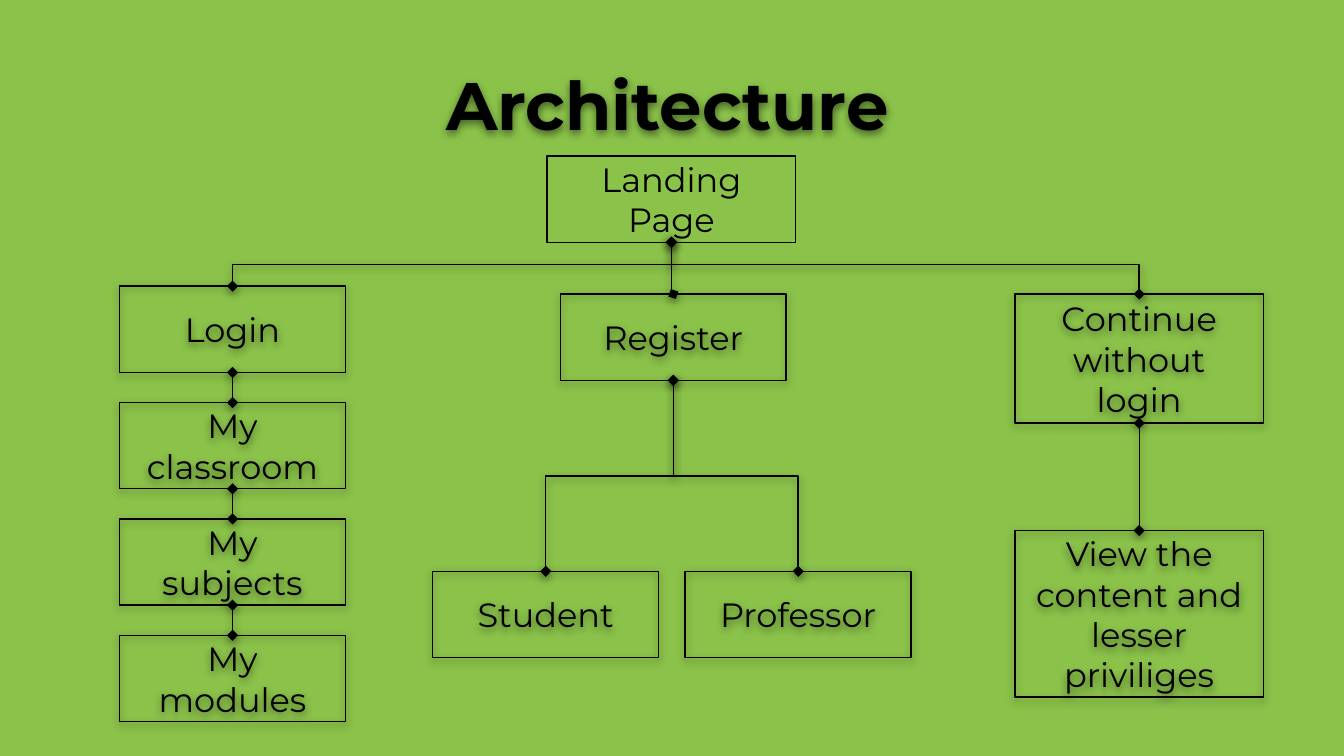
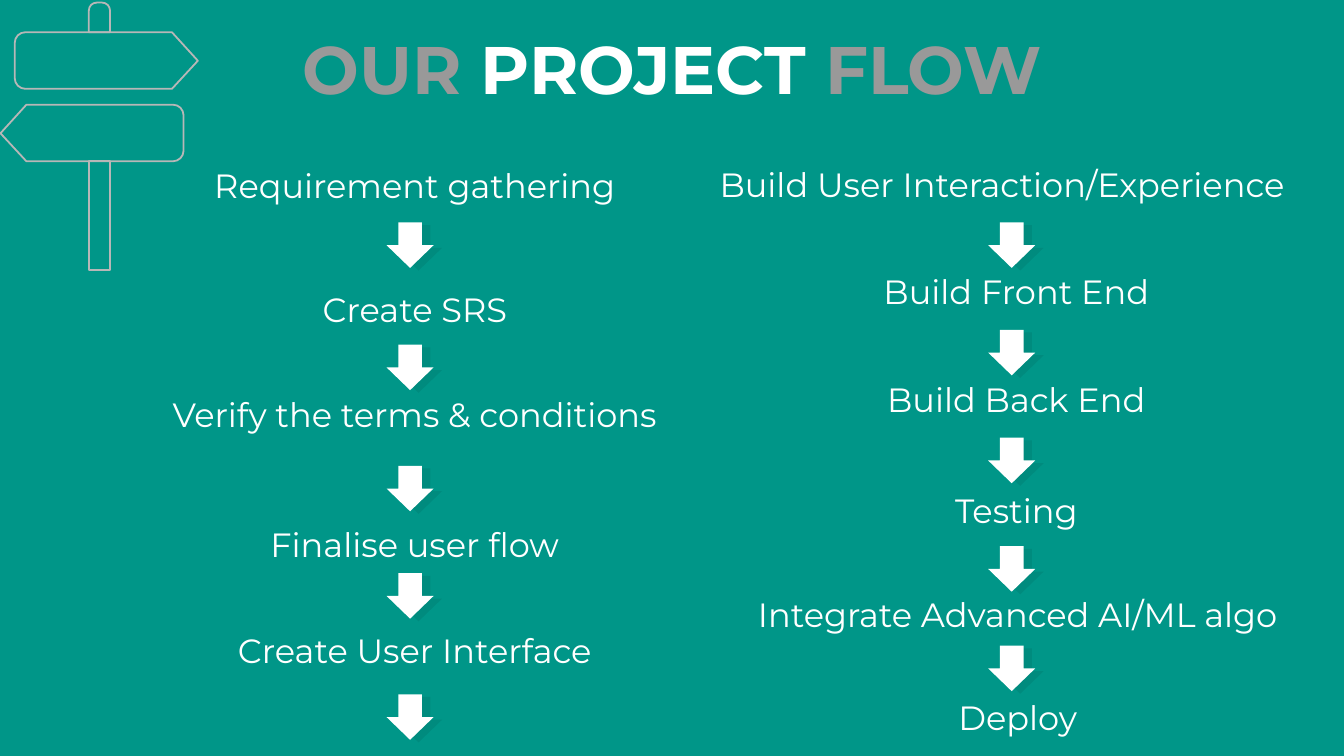
"""Build two slides: a site architecture tree and a project flow."""
from math import cos, pi, sin

from lxml.etree import SubElement
from pptx import Presentation
from pptx.dml.color import RGBColor
from pptx.enum.shapes import MSO_CONNECTOR, MSO_SHAPE
from pptx.enum.text import MSO_ANCHOR, MSO_AUTO_SIZE, PP_ALIGN
from pptx.oxml import parse_xml
from pptx.oxml.ns import nsdecls, qn
from pptx.util import Cm, Pt

rgb = RGBColor.from_string
FONT = "Montserrat"
BLACK, WHITE, GREY, PALE_GREY = "000000", "FFFFFF", "999999", "B7B7B7"
GREEN, TEAL = "8BC34A", "009688"


def write(shape, text, color, size=18, bold=False, align=PP_ALIGN.CENTER, anchor=MSO_ANCHOR.MIDDLE):
    """Fill a shape with one styled paragraph."""
    frame = shape.text_frame
    frame.text = text
    frame.word_wrap = True
    frame.auto_size = MSO_AUTO_SIZE.NONE
    frame.vertical_anchor = anchor
    frame.margin_left = frame.margin_right = frame.margin_top = frame.margin_bottom = Cm(0.25)
    paragraph = frame.paragraphs[0]
    paragraph.alignment = align
    for run in paragraph.runs:
        run.font.name = FONT
        run.font.size = Pt(size)
        run.font.bold = bold
        run.font.color.rgb = rgb(color)


def cast_shadow(shape):
    """Add a soft shadow that falls downwards."""
    shape._element.spPr.append(parse_xml(
        f'<a:effectLst {nsdecls("a")}><a:outerShdw blurRad="57150" dist="19050" dir="5400000" '
        f'algn="bl" rotWithShape="0"><a:srgbClr val="{BLACK}"><a:alpha val="50000"/></a:srgbClr>'
        '</a:outerShdw></a:effectLst>'))


presentation = Presentation()
presentation.slide_width, presentation.slide_height = Cm(25.4), Cm(14.29)

slides = []
for background, title_text, title_color, title_box, title_align in [
    (GREEN, "Architecture", BLACK, (8.18, 0.66, 9.12, 2.31), PP_ALIGN.LEFT),
    (TEAL, "OUR ", GREY, (4.57, 0.56, 16.26, 1.73), PP_ALIGN.CENTER),
]:
    slide = presentation.slides.add_slide(presentation.slide_layouts[5])
    slide.background.fill.solid()
    slide.background.fill.fore_color.rgb = rgb(background)
    title = slide.shapes.title
    title.left, title.top, title.width, title.height = map(Cm, title_box)
    write(title, title_text, title_color, 36, True, title_align, MSO_ANCHOR.BOTTOM)
    slides.append(slide)
architecture, flow = slides

cast_shadow(architecture.shapes.title)
boxes = {}
login_steps = ["Login", "My classroom", "My subjects", "My modules"]
for label, left, top, width, height in [
    ("Landing Page", 10.34, 2.95, 4.7, 1.63),
    *((label, 2.26, 5.41 + 2.2 * row, 4.27, 1.63) for row, label in enumerate(login_steps)),
    ("Register", 10.59, 5.56, 4.27, 1.63),
    ("Student", 8.18, 10.8, 4.27, 1.63),
    ("Professor", 12.95, 10.8, 4.27, 1.63),
    ("Continue without login", 19.18, 5.56, 4.7, 2.44),
    ("View the content and lesser priviliges", 19.18, 10.03, 4.7, 3.15),
]:
    box = architecture.shapes.add_shape(MSO_SHAPE.RECTANGLE, Cm(left), Cm(top), Cm(width), Cm(height))
    box.fill.background()
    box.line.color.rgb = rgb(BLACK)
    box.line.width = Pt(0.75)
    write(box, label, BLACK)
    if label == "Landing Page":
        box.shadow.inherit = False
    else:
        cast_shadow(box)
    boxes[label] = box

for parent_label, child_label, bend in [
    ("Landing Page", "Login", 50000),
    ("Landing Page", "Register", 94900),
    ("Landing Page", "Continue without login", 43300),
    *((upper, lower, 50000) for upper, lower in zip(login_steps, login_steps[1:])),
    ("Register", "Student", 50000),
    ("Register", "Professor", 50000),
    ("Continue without login", "View the content and lesser priviliges", 50000),
]:
    parent, child = boxes[parent_label], boxes[child_label]
    start_x, start_y = parent.left + parent.width // 2, parent.top + parent.height
    end_x, end_y = child.left + child.width // 2, child.top
    middle_x, middle_y = (start_x + end_x) // 2, (start_y + end_y) // 2
    half_drop = (end_y - start_y) // 2
    connector = architecture.shapes.add_connector(
        MSO_CONNECTOR.ELBOW,
        middle_x - half_drop, middle_y + middle_x - start_x,
        middle_x + half_drop, middle_y + middle_x - end_x)
    connector.rotation = 90
    connector.line.color.rgb = rgb(BLACK)
    connector.line.width = Pt(0.75)
    properties = connector._element.spPr
    guides = properties.find(qn("a:prstGeom")).find(qn("a:avLst"))
    SubElement(guides, qn("a:gd"), name="adj1", fmla=f"val {bend}")
    for end in ("a:headEnd", "a:tailEnd"):
        SubElement(properties.find(qn("a:ln")), qn(end), type="diamond")
    cast_shadow(connector)

title_paragraph = flow.shapes.title.text_frame.paragraphs[0]
for text, color in [("PROJECT", WHITE), (" FLOW", GREY)]:
    run = title_paragraph.add_run()
    run.text = text
    run.font.name = FONT
    run.font.size = Pt(36)
    run.font.bold = True
    run.font.color.rgb = rgb(color)

quarter = [(sin(step * pi / 8), cos(step * pi / 8)) for step in range(5)]
upper_board = [
    (3.25, 0.61),
    *((0.48 - 0.2 * s, 0.81 - 0.2 * c) for s, c in quarter),
    *((0.48 - 0.2 * c, 1.48 + 0.2 * s) for s, c in quarter),
    (3.25, 1.68), (3.74, 1.15),
]
lower_board = [(3.75 - x, y + 1.37) for x, y in upper_board]
post_cap = [
    (2.08, 0.61),
    *((1.93 + 0.15 * c, 0.2 - 0.15 * s) for s, c in quarter),
    *((1.83 - 0.15 * s, 0.2 - 0.15 * c) for s, c in quarter),
    (1.68, 0.61),
]
post = [(1.68, 3.05), (1.68, 5.11), (2.08, 5.11), (2.08, 3.05)]
signpost = flow.shapes.add_group_shape()
for outline in (upper_board, lower_board, post_cap, post):
    points = [(Cm(x), Cm(y)) for x, y in outline]
    builder = signpost.shapes.build_freeform(*points[0])
    builder.add_line_segments(points[1:], close=True)
    part = builder.convert_to_shape()
    part.fill.background()
    part.line.color.rgb = rgb(PALE_GREY)
    part.line.width = Pt(0.96)
    part.shadow.inherit = False

for text, left, top, width in [
    ("Requirement gathering", 2.57, 2.87, 10.54),
    ("Create SRS", 2.57, 5.21, 10.54),
    ("Verify the terms & conditions", 2.57, 7.19, 10.54),
    ("Finalise user flow", 2.57, 9.65, 10.54),
    ("Create User Interface", 2.57, 11.66, 10.54),
    ("Build User Interaction/Experience", 12.83, 2.84, 12.22),
    ("Build Front End", 13.94, 4.88, 10.54),
    ("Build Back End", 13.94, 6.91, 10.54),
    ("Testing", 13.94, 9.02, 10.54),
    ("Integrate Advanced AI/ML algo", 13.67, 10.97, 11.13),
    ("Deploy", 13.67, 12.93, 11.13),
]:
    step_box = flow.shapes.add_textbox(Cm(left), Cm(top), Cm(width), Cm(1.27))
    write(step_box, text, WHITE, anchor=MSO_ANCHOR.TOP)

for left, tops in [
    (7.32, (4.19, 6.5, 8.79, 10.82, 13.11)),
    (18.69, (4.19, 6.22, 8.26, 10.31, 12.19)),
]:
    for top in tops:
        arrow_pair = flow.shapes.add_group_shape()
        for color, shift_x, shift_y in [(BLACK, 0.16, 0.05), (WHITE, 0, 0)]:
            arrow = arrow_pair.shapes.add_shape(
                MSO_SHAPE.RIGHT_ARROW, Cm(left + shift_x), Cm(top + shift_y), Cm(0.86), Cm(0.89))
            arrow.rotation = 90
            arrow.fill.solid()
            arrow.fill.fore_color.rgb = rgb(color)
            arrow.line.fill.background()
            arrow.shadow.inherit = False
            if color == BLACK:
                tint = arrow._element.spPr.find(qn("a:solidFill")).find(qn("a:srgbClr"))
                SubElement(tint, qn("a:alpha"), val="7000")

presentation.save("out.pptx")
